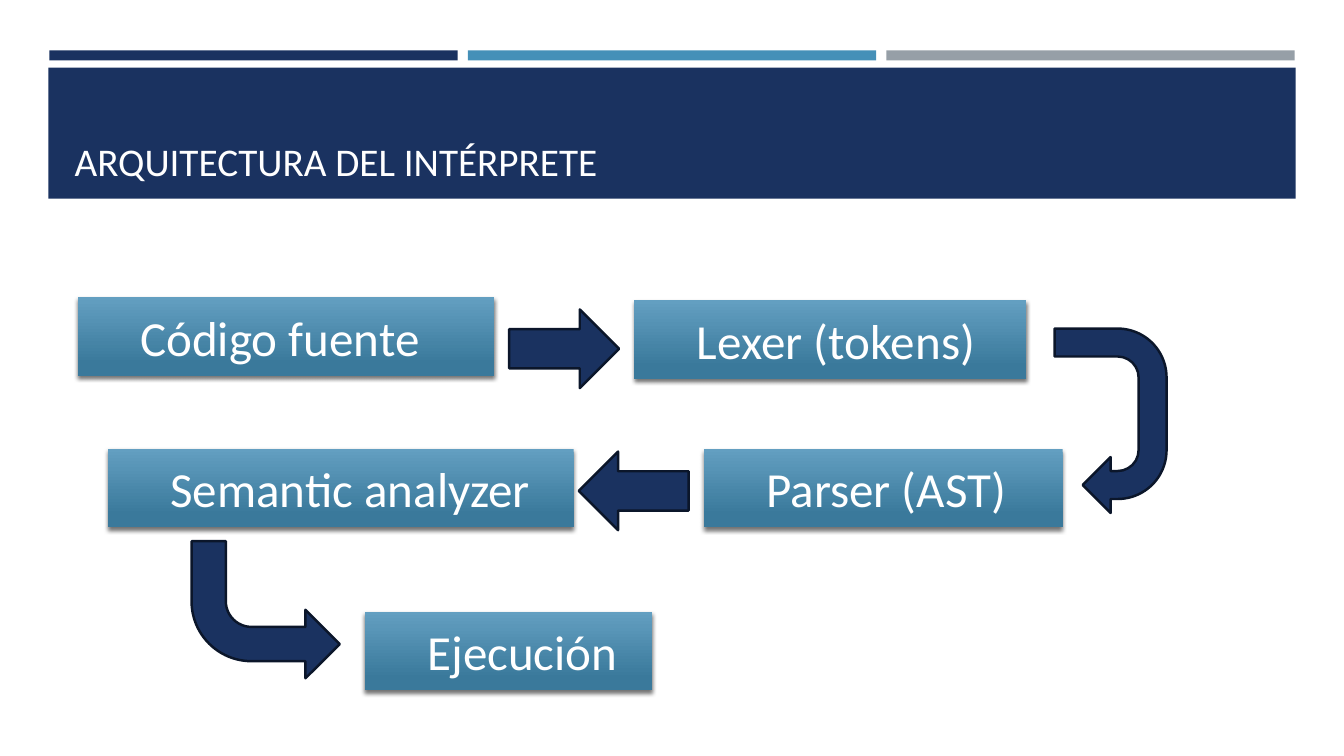
from lxml import etree
from pptx import Presentation
from pptx import util as u
from pptx.dml.color import RGBColor
from pptx.enum import shapes, text
from pptx.oxml.ns import qn

NAVY = RGBColor(0x1A, 0x32, 0x60)
NAVY_EDGE = RGBColor(0x0B, 0x16, 0x2A)
BLUE = RGBColor(0x45, 0x90, 0xB8)
GRAY = RGBColor(0x96, 0x9F, 0xA7)
STEP_TOP = RGBColor(0x63, 0x9F, 0xC1)
STEP_BOTTOM = RGBColor(0x3A, 0x79, 0x9B)
WHITE = RGBColor(0xFF, 0xFF, 0xFF)
FONT = "Calibri"
SHAPE = shapes.MSO_SHAPE

# Content: lengths in inches
TITLE = "ARQUITECTURA DEL INTÉRPRETE"
STRIPES = [NAVY, BLUE, GRAY]
STRIPE_LEFT, STRIPE_WIDTH, STRIPE_STEP = 0.49, 4.05, 4.15
STEP_HEIGHT = 0.78
STEPS = [  # label, left, top, width
    ("Código fuente", 0.77, 2.95, 4.13),
    ("Lexer (tokens)", 6.29, 2.98, 3.89),
    ("Parser (AST)", 6.98, 4.45, 3.56),
    ("Semantic analyzer", 1.07, 4.45, 4.62),
    ("Ejecución", 3.62, 6.07, 2.85),
]
ARROWS = [  # kind, (left, top, width, height), rotation, flipped upside down
    (SHAPE.RIGHT_ARROW, (5.05, 3.07, 1.09, 0.78), 0, False),
    (SHAPE.U_TURN_ARROW, (10.1, 3.62, 1.83, 1.11), 90, False),
    (SHAPE.RIGHT_ARROW, (5.74, 4.48, 1.09, 0.78), 180, False),
    (SHAPE.BENT_ARROW, (1.9, 5.37, 1.47, 1.36), 0, True),
]

prs = Presentation()
prs.slide_width, prs.slide_height = u.Inches(13.33), u.Inches(7.5)
slide = prs.slides.add_slide(prs.slide_layouts[5])


def add_shape(kind, box, color=None):
    shape = slide.shapes.add_shape(kind, *map(u.Inches, box))
    shape.shadow.inherit = False
    shape.line.fill.background()
    if color is not None:
        shape.fill.solid()
        shape.fill.fore_color.rgb = color
    return shape


def write(shape, words, size, anchor):
    frame = shape.text_frame
    frame.text = words
    frame.word_wrap = True
    frame.vertical_anchor = anchor
    paragraph = frame.paragraphs[0]
    paragraph.alignment = text.PP_ALIGN.LEFT
    font = paragraph.runs[0].font
    font.name, font.size, font.color.rgb = FONT, u.Pt(size), WHITE


def drop_shadow(shape):
    effects = shape._element.spPr.find(qn("a:effectLst"))
    outer = etree.SubElement(effects, qn("a:outerShdw"), blurRad=str(u.Pt(3)),
                             dist=str(u.Pt(2)), dir="5400000", rotWithShape="0")
    black = etree.SubElement(outer, qn("a:srgbClr"), val="000000")
    etree.SubElement(black, qn("a:alpha"), val="55000")


# Stripes and title band
for i, color in enumerate(STRIPES):
    add_shape(SHAPE.RECTANGLE,
              (STRIPE_LEFT + i * STRIPE_STEP, 0.5, STRIPE_WIDTH, 0.1), color)
add_shape(SHAPE.RECTANGLE, (0.48, 0.67, 12.37, 1.3), NAVY)

# Title, brought in front of its band
title = slide.shapes.title
title.left, title.top, title.width, title.height = map(
    u.Inches, (0.64, 0.77, 12.06, 1.11))
write(title, TITLE, 28, text.MSO_ANCHOR.BOTTOM)
slide.shapes._spTree.append(title._element)

# Steps of the interpreter
for label, left, top, width in STEPS:
    step = add_shape(SHAPE.RECTANGLE, (left, top, width, STEP_HEIGHT))
    step.fill.gradient()
    step.fill.gradient_angle = 270
    for stop, position, color in zip(step.fill.gradient_stops, (0, 0.84),
                                     (STEP_TOP, STEP_BOTTOM)):
        stop.position, stop.color.rgb = position, color
    drop_shadow(step)
    write(step, label, 35, text.MSO_ANCHOR.MIDDLE)
    step.text_frame.margin_left = u.Inches(0.62)
    step.text_frame.margin_right = u.Inches(0.1)

# Arrows between steps
for kind, box, rotation, flipped in ARROWS:
    arrow = add_shape(kind, box, NAVY)
    arrow.line.color.rgb = NAVY_EDGE
    arrow.line.width = u.Pt(1.75)
    arrow.rotation = rotation
    if flipped:
        arrow._element.spPr.find(qn("a:xfrm")).set("flipV", "1")

prs.save("out.pptx")
